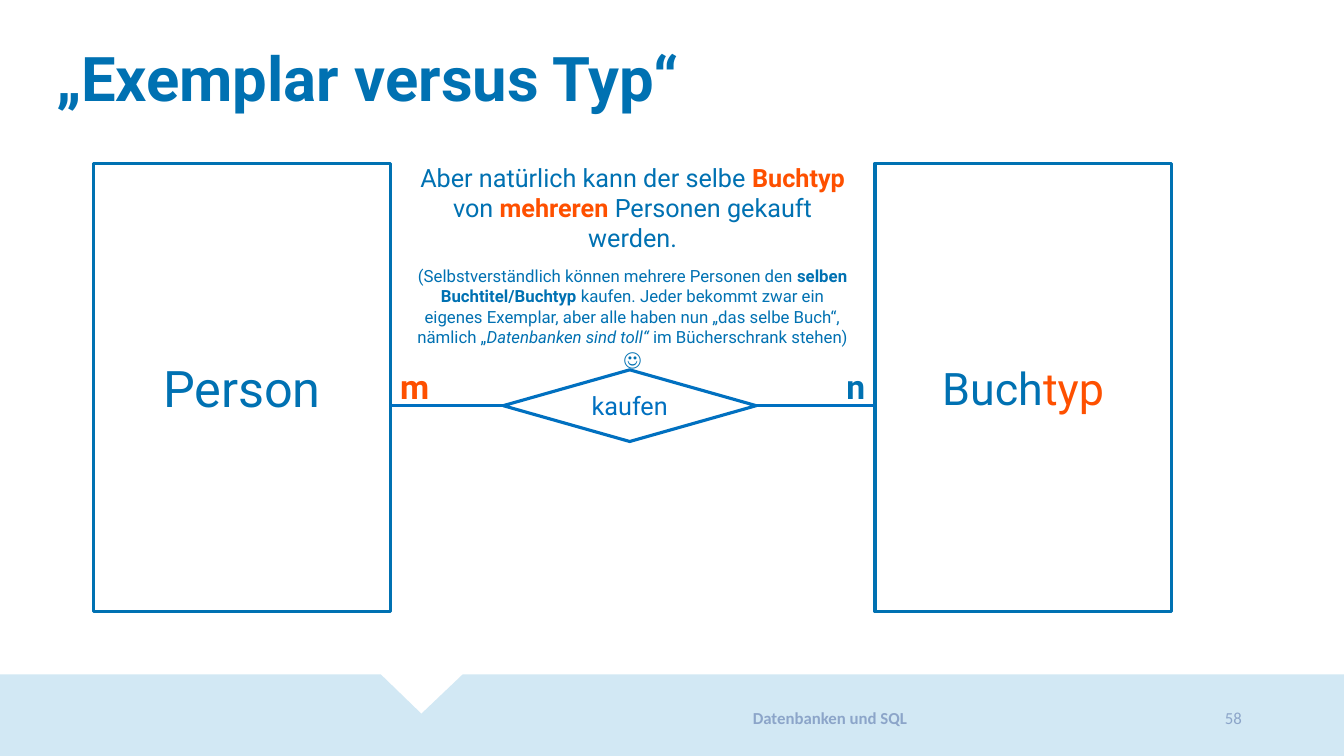
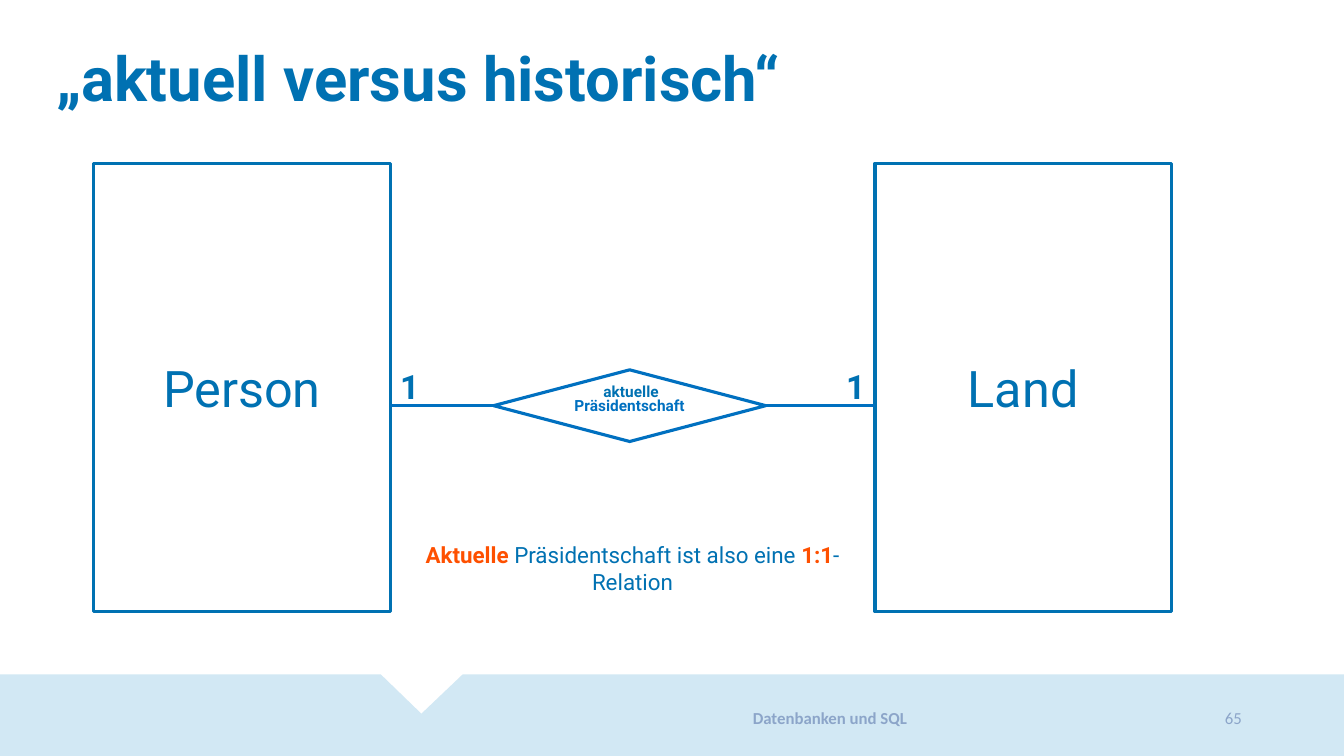
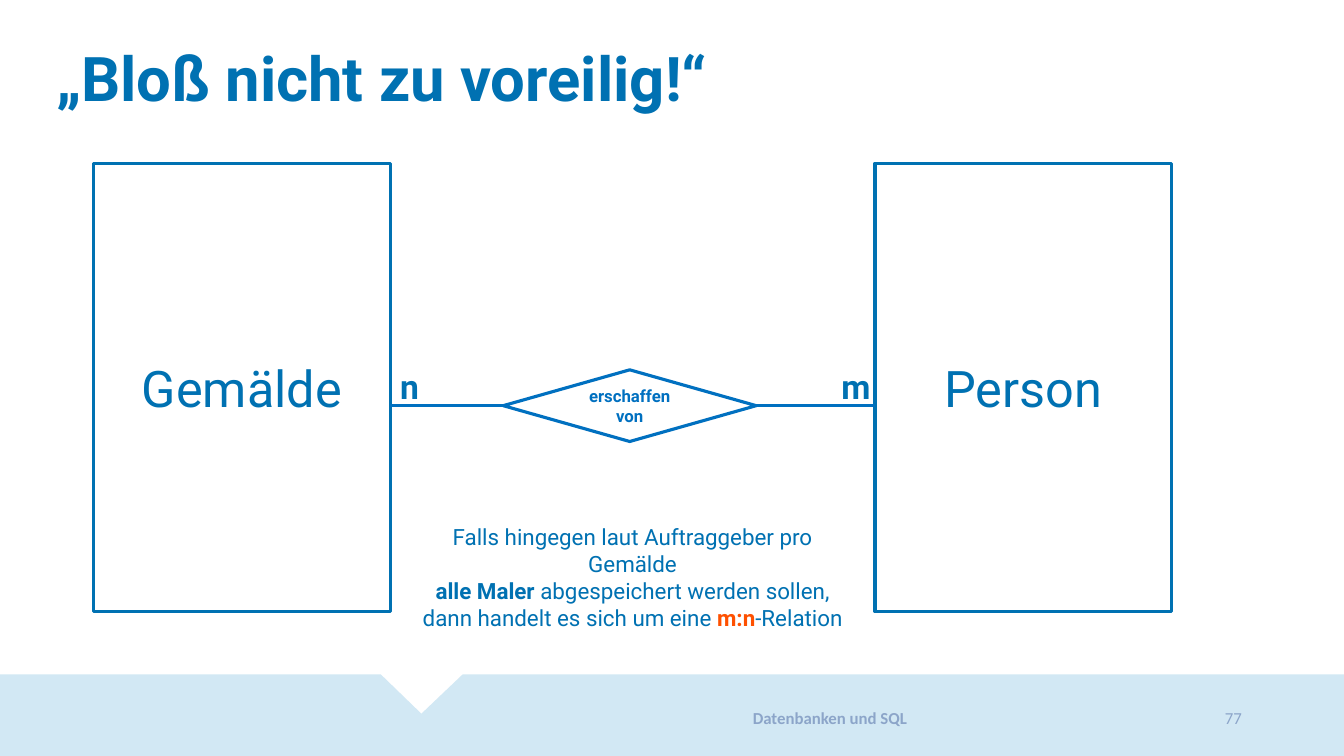
from dataclasses import dataclass

from lxml import etree
from pptx import Presentation
from pptx.dml.color import RGBColor
from pptx.enum.shapes import MSO_CONNECTOR, MSO_SHAPE
from pptx.enum.text import MSO_ANCHOR, MSO_AUTO_SIZE, PP_ALIGN
from pptx.oxml.ns import qn
from pptx.util import Pt

BLUE = RGBColor(0x00, 0x71, 0xB2)
RELATION_BLUE = RGBColor(0x00, 0x70, 0xC0)
ORANGE = RGBColor(0xFE, 0x50, 0x00)
BAND_BLUE = RGBColor(0xD2, 0xE8, 0xF4)
FOOTER_BLUE = RGBColor(0x8C, 0xA5, 0xC9)

LEFT, CENTER, RIGHT = PP_ALIGN.LEFT, PP_ALIGN.CENTER, PP_ALIGN.RIGHT
TOP, MIDDLE = MSO_ANCHOR.TOP, MSO_ANCHOR.MIDDLE
RECTANGLE, DIAMOND = MSO_SHAPE.RECTANGLE, MSO_SHAPE.DIAMOND
STRAIGHT = MSO_CONNECTOR.STRAIGHT

FONT, FOOTER_FONT = "Roboto", "Calibri"
SLIDE_WIDTH, SLIDE_HEIGHT = 960, 540
LINE_WIDTH = 2.25
TITLE_BOX = (33, 30, 876, 57)
FOOTER_BOX = (422.6, 496.8, 340.6, 32.4)
NUMBER_BOX = (763.2, 496.8, 131, 32.4)
DIAGRAM_BOX = (67, 116.6, 769.7, 320.4)
ENTITY_WIDTH = 211.7
BAND_TOP = 481.7
NOTCH = ((272, BAND_TOP), (301, 509.8), (330.5, BAND_TOP))


@dataclass
class Run:
    """A piece of text with its deviations from the box's format."""
    text: str
    color: RGBColor = None
    bold: bool = None
    italic: bool = None
    font: str = None


@dataclass
class Line:
    """A paragraph made of runs."""
    runs: list
    size: float = None
    before: float = 0


@dataclass
class Relation:
    """Everything that varies between the diagram slides."""
    number: str
    title: str
    entities: tuple
    roles: tuple
    label: str
    label_size: float
    note: list
    note_top: float
    note_height: float
    note_size: float
    note_width: float = 327.6
    diamond_width: float = 180.7
    label_bold: bool = True
    upper_label: str = None


def strong(text):
    """Return a bold run in the accent colour."""
    return Run(text, color=ORANGE, bold=True)


def write_text(shape, text, size=18, color=BLUE, bold=False, font=FONT,
               align=LEFT, anchor=TOP, spacing=None):
    """Fill a shape with a string or a list of lines."""
    frame = shape.text_frame
    frame.word_wrap = True
    frame.auto_size = MSO_AUTO_SIZE.NONE
    frame.vertical_anchor = anchor
    lines = [Line([Run(text)])] if isinstance(text, str) else text
    for index, line in enumerate(lines):
        paragraph = frame.add_paragraph() if index else frame.paragraphs[0]
        paragraph.alignment = align
        if spacing:
            paragraph.line_spacing = spacing
        if line.before:
            paragraph.space_before = Pt(line.before)
        for part in line.runs:
            run = paragraph.add_run()
            run.text = part.text
            run.font.name = part.font or font
            run.font.size = Pt(line.size or size)
            run.font.bold = bold if part.bold is None else part.bold
            run.font.italic = part.italic
            run.font.color.rgb = part.color or color


def add_text(slide, box, text, **text_format):
    """Add a text box."""
    shape = slide.shapes.add_textbox(*map(Pt, box))
    write_text(shape, text, **text_format)


def add_outline(slide, kind, box, text, color=BLUE, **text_format):
    """Add an unfilled shape with a centred label."""
    shape = slide.shapes.add_shape(kind, *map(Pt, box))
    shape.shadow.inherit = False
    shape.fill.background()
    shape.line.color.rgb = color
    shape.line.width = Pt(LINE_WIDTH)
    write_text(shape, text, color=color, align=CENTER, anchor=MIDDLE, **text_format)
    return shape


def add_link(slide, diamond, site, end_x, y):
    """Join a corner of the diamond to an entity's edge."""
    connector = slide.shapes.add_connector(STRAIGHT, 0, 0, Pt(end_x), Pt(y))
    connector.begin_connect(diamond, site)
    connector.line.color.rgb = RELATION_BLUE
    connector.line.width = Pt(LINE_WIDTH)
    etree.SubElement(connector.element.spPr, qn("a:effectLst"))


def add_band(layout, slide):
    """Draw the notched band and hand it over to the layout."""
    builder = slide.shapes.build_freeform(0, Pt(BAND_TOP))
    corners = (*NOTCH, (SLIDE_WIDTH, BAND_TOP), (SLIDE_WIDTH, SLIDE_HEIGHT), (0, SLIDE_HEIGHT))
    builder.add_line_segments([(Pt(x), Pt(y)) for x, y in corners], close=True)
    band = builder.convert_to_shape()
    band.shadow.inherit = False
    band.fill.solid()
    band.fill.fore_color.rgb = BAND_BLUE
    band.line.fill.background()
    band.element.nvSpPr.cNvPr.id = 100
    layout.shapes.element.insert(2, band.element)


def add_frame(slide, title, number):
    """Write the title, the footer and the slide number."""
    shape = slide.shapes.title
    shape.left, shape.top, shape.width, shape.height = map(Pt, TITLE_BOX)
    write_text(shape, title, size=44, bold=True, anchor=MIDDLE, spacing=0.9)
    footer = {"size": 12, "color": FOOTER_BLUE, "font": FOOTER_FONT, "anchor": MIDDLE}
    add_text(slide, FOOTER_BOX, "Datenbanken und SQL", bold=True, align=CENTER, **footer)
    add_text(slide, NUMBER_BOX, number, align=RIGHT, **footer)


def add_diagram(slide, box, relation):
    """Draw two entities, their relation and the note inside a box."""
    left, top, width, height = box
    inner_left = left + ENTITY_WIDTH
    inner_right = left + width - ENTITY_WIDTH
    for x, entity in zip((left, inner_right), relation.entities):
        text = [Line(entity, size=32)] if isinstance(entity, list) else entity
        add_outline(slide, RECTANGLE, (x, top, ENTITY_WIDTH, height), text, size=36)

    diamond_top, diamond_height = top + 147.6, 51.2
    diamond_middle = left + 382.8
    diamond = add_outline(
        slide, DIAMOND,
        (diamond_middle - relation.diamond_width / 2, diamond_top,
         relation.diamond_width, diamond_height),
        relation.label, color=RELATION_BLUE,
        size=relation.label_size, bold=relation.label_bold)
    link_y = diamond_top + diamond_height / 2
    add_link(slide, diamond, 1, inner_left, link_y)
    add_link(slide, diamond, 3, inner_right, link_y)
    if relation.upper_label:
        add_text(slide, (diamond_middle - 30, top + 152.7, 62, 21), relation.upper_label,
                 size=relation.label_size, bold=True, align=CENTER)

    role_width = 35.3
    role_lefts = (inner_left, inner_right - 31.3)
    for x, role, align in zip(role_lefts, relation.roles, (LEFT, CENTER)):
        add_text(slide, (x, top + 141.5, role_width, 36), [Line([role])],
                 size=24, bold=True, align=align)
    note_left = left + (width - relation.note_width) / 2
    add_text(slide, (note_left, top + relation.note_top, relation.note_width, relation.note_height),
             relation.note, size=relation.note_size, align=CENTER)


RELATIONS = [
    Relation(
        "58", "„Exemplar versus Typ“",
        entities=("Person", [Run("Buch"), Run("typ", color=ORANGE)]),
        roles=(strong("m"), Run("n")),
        label="kaufen", label_size=18, label_bold=False,
        note=[
            Line([Run("Aber natürlich kann der selbe "), strong("Buchtyp")]),
            Line([Run("von "), strong("mehreren "), Run("Personen gekauft werden.")]),
            Line([Run("(Selbstverständlich können mehrere Personen den "),
                  Run("selben", bold=True)], size=12, before=9.4),
            Line([Run("Buchtitel/Buchtyp ", bold=True),
                  Run("kaufen. Jeder bekommt zwar ein")], size=12),
            Line([Run("eigenes Exemplar, aber alle haben nun „das selbe Buch“,")], size=12),
            Line([Run("nämlich „"), Run("Datenbanken sind toll“ ", italic=True),
                  Run("im Bücherschrank stehen)")], size=12),
            Line([Run("☺", font=FOOTER_FONT)], size=14),
        ],
        note_top=-4.3, note_height=152, note_size=18),
    Relation(
        "65", "„aktuell versus historisch“",
        entities=("Person", "Land"),
        roles=(Run("1"), Run("1")),
        label="Präsidentschaft", label_size=11, upper_label="aktuelle",
        diamond_width=194.4,
        note=[Line([strong("Aktuelle"), Run(" Präsidentschaft ist also eine "),
                    strong("1:1"), Run("-Relation")])],
        note_top=266.4, note_height=46, note_size=16, note_width=352.8),
    Relation(
        "77", "„Bloß nicht zu voreilig!“",
        entities=("Gemälde", "Person"),
        roles=(Run("n"), Run("m")),
        label="erschaffen von", label_size=12,
        note=[
            Line([Run("Falls hingegen laut Auftraggeber pro Gemälde")]),
            Line([Run("alle Maler ", bold=True), Run("abgespeichert werden sollen,")]),
            Line([Run("dann handelt es sich um eine "), strong("m:n"), Run("-Relation")]),
        ],
        note_top=253.5, note_height=84, note_size=16),
]


def main():
    """Build and save the presentation."""
    presentation = Presentation()
    presentation.slide_width, presentation.slide_height = Pt(SLIDE_WIDTH), Pt(SLIDE_HEIGHT)
    layout = presentation.slide_layouts.get_by_name("Title Only")
    for index, relation in enumerate(RELATIONS):
        slide = presentation.slides.add_slide(layout)
        if index == 0:
            add_band(layout, slide)
        add_frame(slide, relation.title, relation.number)
        add_diagram(slide, DIAGRAM_BOX, relation)
    presentation.save("out.pptx")


if __name__ == "__main__":
    main()
